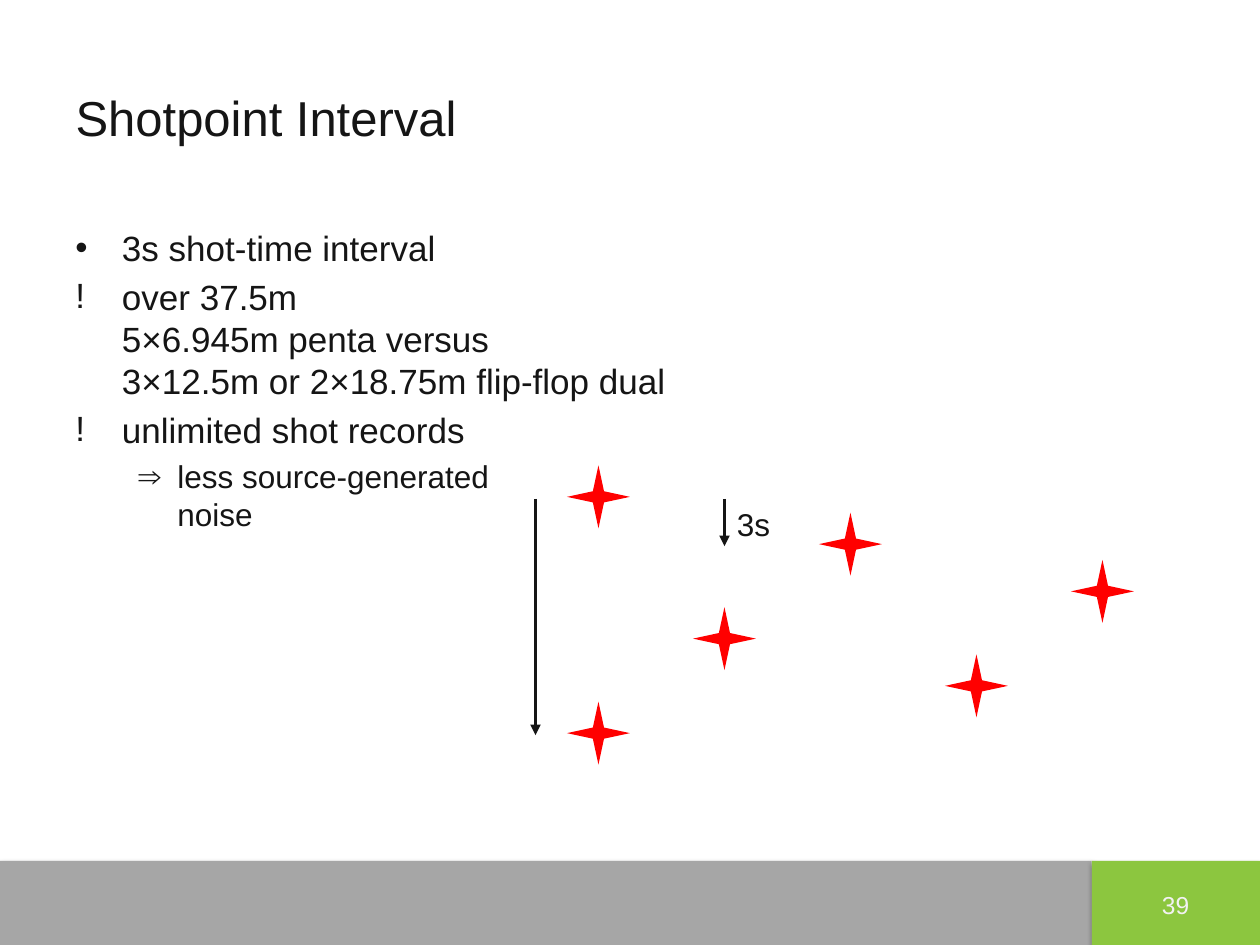
from pptx import Presentation, util as u
from pptx.dml.color import RGBColor
from pptx.enum import shapes, text
from pptx.oxml.ns import qn
from lxml import etree

COLORS = {"ink": "151515", "star": "FF0000", "bar": "A6A6A6",
          "tab": "8CC63F", "pale": "F2F2F2"}
COL, ROW = 0.5, 0.375  # 20 columns by 20 rows


def rgb(name):
    return RGBColor.from_string(COLORS[name])


def sub(node, tag, **attrs):
    return etree.SubElement(node, qn(tag), attrs)


class Page:
    font = "Arial"

    def __init__(self, deck):
        self.slide = deck.slides.add_slide(deck.slide_layouts[5])
        self.shapes = self.slide.shapes

    def span(self, col, row, cols, rows):
        return [u.Inches(v) for v in
                (col * COL, row * ROW, cols * COL, rows * ROW)]

    def style(self, para, size, color="ink"):
        for run in para.runs:
            run.font.name, run.font.size = self.font, u.Pt(size)
            run.font.color.rgb = rgb(color)

    def title(self, words, *area):
        box = self.shapes.title
        box.left, box.top, box.width, box.height = self.span(*area)
        frame = box.text_frame
        frame.text = words
        frame.vertical_anchor = text.MSO_ANCHOR.MIDDLE
        frame.paragraphs[0].alignment = text.PP_ALIGN.LEFT
        self.style(frame.paragraphs[0], 28)

    def label(self, words, size, area, color="ink", align="LEFT"):
        frame = self.shapes.add_textbox(*self.span(*area)).text_frame
        frame.word_wrap = True
        frame.text = words
        frame.paragraphs[0].alignment = text.PP_ALIGN[align]
        self.style(frame.paragraphs[0], size, color)

    def bullets(self, items, *area):
        frame = self.shapes.add_textbox(*self.span(*area)).text_frame
        frame.word_wrap = True
        for num, (mark, level, words) in enumerate(items):
            para = frame.paragraphs[0] if num == 0 else frame.add_paragraph()
            para.text, para.level = words, level
            left, hang, size = ((0.37, 0.37, 20), (0.81, 0.31, 18))[level]
            props = para._p.get_or_add_pPr()
            props.set("marL", str(u.Inches(left)))
            props.set("indent", str(-u.Inches(hang)))
            sub(sub(props, "a:buClr"), "a:srgbClr", val=COLORS["ink"])
            sub(props, "a:buFont", typeface=self.font)
            sub(props, "a:buChar", char=mark)
            para.space_before = u.Pt(size / 5 if num else 0)
            self.style(para, size)

    def block(self, kind, color, *area):
        shape = self.shapes.add_shape(kind, *self.span(*area))
        shape.shadow.inherit = False
        shape.fill.solid()
        shape.fill.fore_color.rgb = rgb(color)
        shape.line.fill.background()
        return shape

    def bar(self, color, *area):
        shape = self.block(shapes.MSO_SHAPE.RECTANGLE, color, *area)
        glow = sub(shape._element.spPr.find(qn("a:effectLst")), "a:outerShdw",
                   blurRad=str(u.Pt(3.1)), dist=str(u.Pt(1.8)),
                   dir="5400000", rotWithShape="0")
        sub(sub(glow, "a:srgbClr", val="000000"), "a:alpha", val="35000")

    def star(self, col, row):
        shape = self.block(shapes.MSO_SHAPE.STAR_4_POINT, "star",
                           col, row, 1, 0.5 / ROW)
        shape.adjustments[0] = 0.125

    def arrow(self, col, row, rows):
        x, top, _, high = self.span(col, row, 0, rows)
        line = self.shapes.add_connector(
            shapes.MSO_CONNECTOR.STRAIGHT, x, top, x, top + high)
        line.line.color.rgb = rgb("ink")
        line.line.width = u.Pt(2)
        sub(line.line._get_or_add_ln(), "a:tailEnd", type="triangle")
        sub(line._element.spPr, "a:effectLst")


def main():
    deck = Presentation()
    deck.slide_width, deck.slide_height = u.Inches(10), u.Inches(7.5)
    page = Page(deck)

    # Footer bars and page number
    page.bar("bar", 0, 18.22, 17.33, 1.78)
    page.bar("tab", 17.33, 18.22, 2.67, 1.78)
    page.label("39", 14, (18.12, 18.7, 1.08, 0.89), "pale", "CENTER")

    # Title and bullets
    page.title("Shotpoint Interval", 1, 0.8, 18, 3.33)
    page.bullets([
        ("•", 0, "3s shot-time interval"),
        ("!", 0, "over 37.5m\n5×6.945m penta versus\n"
                 "3×12.5m or 2×18.75m flip-flop dual"),
        ("!", 0, "unlimited shot records"),
        ("⇒", 1, "less source-generated\nnoise"),
    ], 1, 4.67, 18, 13.2)

    # Shots: one row per 3s, cycling over five sources
    for shot in range(6):
        page.star(9 + 2 * (2 * shot % 5), 9.85 + shot)

    # Time arrows: one interval and a full cycle
    start = 10.56
    page.arrow(11.5, start, 1)
    page.label("3s", 18, (11.5, start, 1.2, 1.07))
    page.arrow(8.5, start, 5)

    deck.save("out.pptx")


if __name__ == "__main__":
    main()
